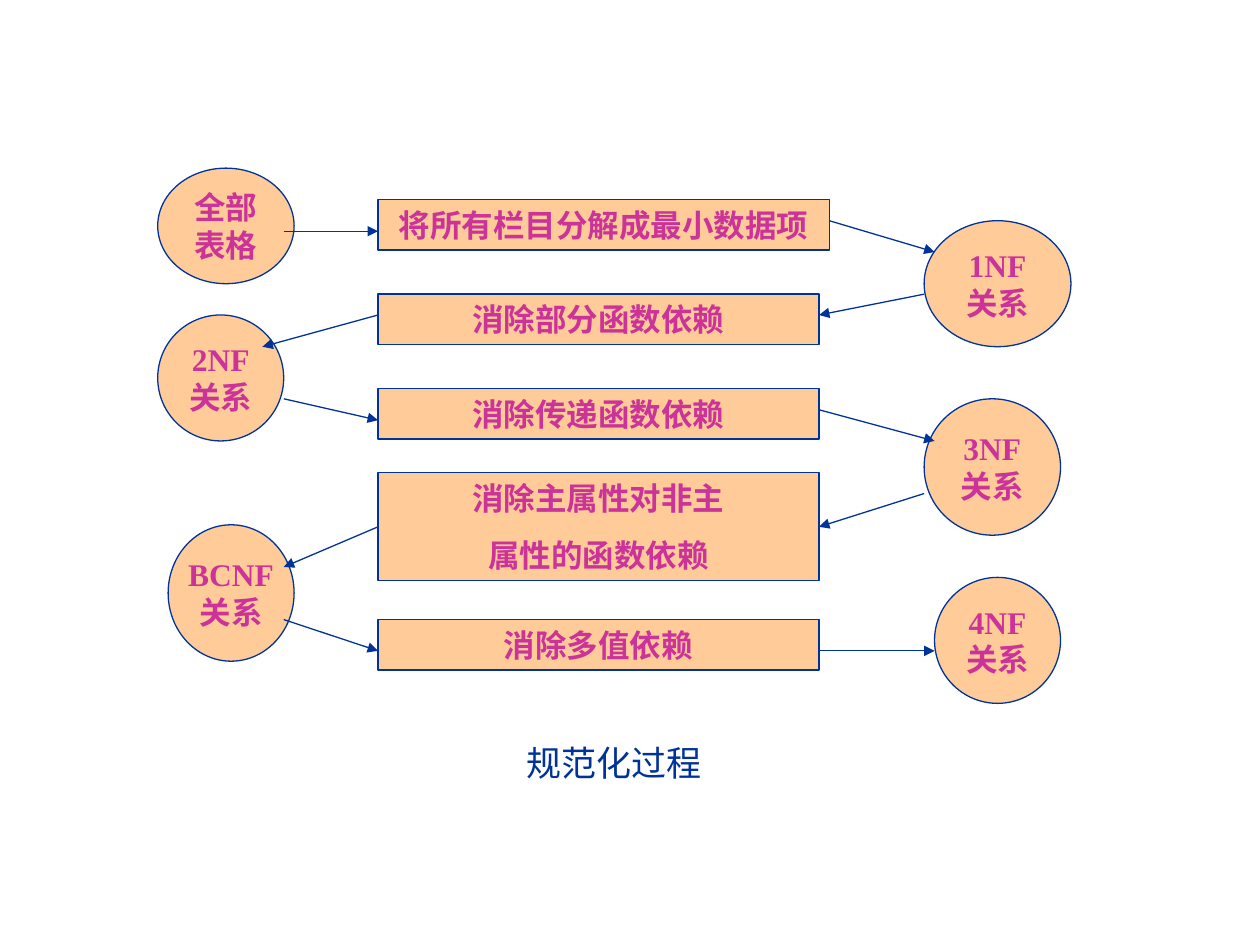
from lxml.etree import SubElement
from pptx import Presentation
from pptx.dml.color import RGBColor
from pptx.enum.shapes import MSO_CONNECTOR as CONN, MSO_SHAPE as SHAPE
from pptx.enum.text import MSO_ANCHOR as ANCHOR, MSO_AUTO_SIZE as FIT, PP_ALIGN as ALIGN
from pptx.oxml.ns import qn
from pptx.util import Cm, Pt

COLORS = {"fill": "FFCC99", "line": "003399", "text": "CC3399"}
FONT = "Times New Roman"


class Diagram:
    def __init__(self, prs):
        self.s = prs.slides.add_slide(prs.slide_layouts[6])

    def color(self, name):
        return RGBColor.from_string(COLORS[name])

    def add_lines(self, tf, lines, size=18, bold=True, color="text", gap=0):
        for i, line in enumerate(lines):
            p = tf.add_paragraph() if i else tf.paragraphs[0]
            p.alignment = ALIGN.CENTER
            if i and gap:
                p.space_before = Pt(gap)
            r = p.add_run()
            r.text = line
            r.font.name = FONT
            r.font.size = Pt(size)
            r.font.bold = bold
            r.font.color.rgb = self.color(color)

    def shape(self, kind, box):
        sp = self.s.shapes.add_shape(kind, *map(Cm, box))
        sp.shadow.inherit = False
        sp.fill.solid()
        sp.fill.fore_color.rgb = self.color("fill")
        sp.line.color.rgb = self.color("line")
        sp.line.width = Pt(0.75)
        return sp

    def relation(self, box, *lines):
        sp = self.shape(SHAPE.OVAL, box)
        tf = sp.text_frame
        tf.word_wrap = False
        tf.vertical_anchor = ANCHOR.MIDDLE
        self.add_lines(tf, lines)

    def step(self, top, *lines, width=8.89, height=1.02):
        sp = self.shape(SHAPE.RECTANGLE, (7.62, top, width, height))
        tf = sp.text_frame
        tf.word_wrap = True
        tf.vertical_anchor = ANCHOR.TOP
        tf.auto_size = FIT.SHAPE_TO_FIT_TEXT
        self.add_lines(tf, lines, gap=11.2)
        return sp

    def arrow(self, x1, y1, x2, y2, begin=None, end=None):
        c = self.s.shapes.add_connector(CONN.STRAIGHT, *map(Cm, (x1, y1, x2, y2)))
        c.line.color.rgb = self.color("line")
        c.line.width = Pt(0.75)
        ln = c._element.spPr.find(qn("a:ln"))
        SubElement(ln, qn("a:tailEnd"), type="triangle")
        SubElement(c._element.spPr, qn("a:effectLst"))
        if begin:
            c.begin_connect(*begin)
        if end:
            c.end_connect(*end)

    def caption(self, box, text):
        tf = self.s.shapes.add_textbox(*map(Cm, box)).text_frame
        tf.word_wrap = True
        tf.auto_size = FIT.SHAPE_TO_FIT_TEXT
        self.add_lines(tf, [text], size=20, bold=False, color="line")


def main():
    prs = Presentation()
    prs.slide_width, prs.slide_height = Cm(25.4), Cm(19.05)
    d = Diagram(prs)

    d.relation((3.18, 3.39, 2.75, 2.33), "全部", "表格")
    for box, name in [
        ((18.63, 4.45, 2.96, 2.54), "1NF"),
        ((3.18, 6.35, 2.54, 2.54), "2NF"),
        ((18.63, 8.04, 2.75, 2.75), "3NF"),
        ((3.39, 10.58, 2.54, 2.75), "BCNF"),
        ((18.84, 11.64, 2.54, 2.54), "4NF"),
    ]:
        d.relation(box, name, "关系")

    d.step(4.02, "将所有栏目分解成最小数据项", width=9.1)
    d.step(5.93, "消除部分函数依赖")
    d.step(7.83, "消除传递函数依赖")
    attribute = d.step(9.53, "消除主属性对非主", "属性的函数依赖", height=2.18)
    d.step(12.49, "消除多值依赖")

    d.arrow(5.72, 4.66, 7.62, 4.66)
    d.arrow(16.72, 4.45, 18.84, 5.08)
    d.arrow(18.63, 5.93, 16.51, 6.35)
    d.arrow(7.62, 6.35, 5.29, 6.99)
    d.arrow(5.72, 8.04, 7.62, 8.47)
    d.arrow(16.51, 8.26, 18.84, 8.89)
    d.arrow(18.63, 9.95, 16.51, 10.58, end=(attribute, 3))
    d.arrow(7.62, 10.58, 5.72, 11.43, begin=(attribute, 1))
    d.arrow(5.72, 12.49, 7.62, 13.12)
    d.arrow(16.51, 13.12, 18.84, 13.12)

    d.caption((8.89, 14.82, 6.99, 1.12), "规范化过程")
    prs.save("out.pptx")


if __name__ == "__main__":
    main()
